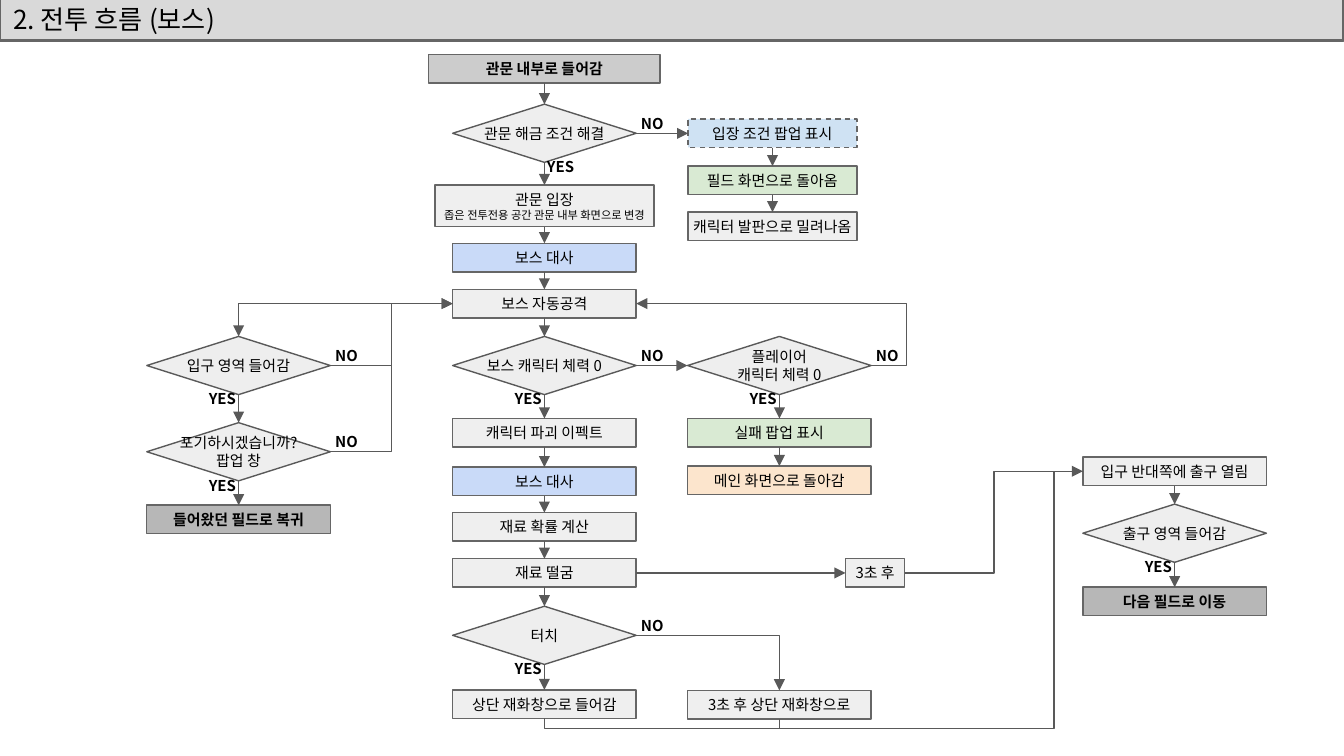
from dataclasses import dataclass
from itertools import pairwise

import lxml.etree
import pptx
import pptx.dml.color
import pptx.enum.dml
import pptx.enum.shapes
import pptx.enum.text
import pptx.oxml.ns
import pptx.slide
import pptx.util
from pptx.util import Cm

FONT = "Noto Sans CJK KR"
COLORS = {
    "title": "D9D9D9", "start": "CCCCCC", "end": "B7B7B7",
    "step": "EFEFEF", "decision": "EEEEEE", "speech": "C9DAF8",
    "popup": "CFE2F3", "success": "D9EAD3", "main": "FCE5CD",
    "border": "666666", "line": "595959", "text": "000000",
}
SHAPES = pptx.enum.shapes.MSO_SHAPE
Point = tuple[float, float]

# Column centres and standard sizes, in centimetres
LEFT, CENTER, POPUP, PLAYER, EXIT = 4.51, 10.29, 14.6, 14.73, 22.2
NODE_WIDTH, BOX_HEIGHT, DIAMOND_HEIGHT = 3.47, 0.54, 1.1
POPUP_WIDTH = 3.19
LABEL_WIDTH, LABEL_HEIGHT = 0.61, 0.43


@dataclass
class Node:
    text: str
    x: float
    y: float
    kind: str = "step"
    width: float = NODE_WIDTH
    height: float = BOX_HEIGHT

    def side(self, horizontal: int, vertical: int) -> Point:
        """Edge midpoint; -1 is left or top, 1 is right or bottom."""
        return self.x + horizontal * self.width / 2, self.y + vertical * self.height / 2


@dataclass
class Link:
    start: Point
    end: Point
    preset: str = "line"
    adjustments: tuple[float, ...] = ()
    arrow: bool = True


def decision(text: str, x: float, y: float) -> Node:
    return Node(text, x, y, "decision", height=DIAMOND_HEIGHT)


NODES = {
    # Main flow
    "start": Node("관문 내부로 들어감", CENTER, 1.3, "start", 4.37),
    "unlock": decision("관문 해금 조건 해결", CENTER, 2.52),
    "enter": Node("관문 입장\n좁은 전투전용 공간 관문 내부 화면으로 변경", CENTER, 3.89, "step", 4.14, 0.79),
    "opening": Node("보스 대사", CENTER, 4.87, "speech"),
    "attack": Node("보스 자동공격", CENTER, 5.74),
    "boss": decision("보스 캐릭터 체력 0", CENTER, 6.91),
    "destroy": Node("캐릭터 파괴 이펙트", CENTER, 8.18),
    "closing": Node("보스 대사", CENTER, 9.1, "speech"),
    "chance": Node("재료 확률 계산", CENTER, 9.96),
    "drop": Node("재료 떨굼", CENTER, 10.83),
    "touch": decision("터치", CENTER, 12.01),
    "collect": Node("상단 재화창으로 들어감", CENTER, 13.31),
    # Entry refused
    "condition": Node("입장 조건 팝업 표시", POPUP, 2.52, "popup", POPUP_WIDTH),
    "field": Node("필드 화면으로 돌아옴", POPUP, 3.41, "success", POPUP_WIDTH),
    "pushed": Node("캐릭터 발판으로 밀려나옴", POPUP, 4.28, "step", POPUP_WIDTH),
    # Player defeat and delayed collection
    "player": decision("플레이어\n캐릭터 체력 0", PLAYER, 6.91),
    "fail": Node("실패 팝업 표시", PLAYER, 8.18, "success"),
    "main": Node("메인 화면으로 돌아감", PLAYER, 9.08, "main"),
    "later": Node("3초 후 상단 재화창으로", PLAYER, 13.32),
    "delay": Node("3초 후", 16.54, 10.83, "step", 1.12),
    # Retreat through the entrance
    "entrance": decision("입구 영역 들어감", LEFT, 6.91),
    "give_up": decision("포기하시겠습니까?\n팝업 창", LEFT, 8.54),
    "return": Node("들어왔던 필드로 복귀", LEFT, 9.82, "end"),
    # Exit
    "open": Node("입구 반대쪽에 출구 열림", EXIT, 8.91),
    "leave": decision("출구 영역 들어감", EXIT, 10.08),
    "next": Node("다음 필드로 이동", EXIT, 11.37, "end"),
}
CHAINS = (
    ("start", "unlock", "enter", "opening", "attack", "boss", "destroy",
     "closing", "chance", "drop", "touch", "collect"),
    ("condition", "field", "pushed"),
    ("player", "fail", "main"),
    ("entrance", "give_up", "return"),
    ("open", "leave", "next"),
)
ROWS = (("unlock", "condition"), ("boss", "player"), ("drop", "delay"))


def color(name: str) -> pptx.dml.color.RGBColor:
    return pptx.dml.color.RGBColor.from_string(COLORS[name])


def add_child(parent, tag: str, **attributes: str):
    return lxml.etree.SubElement(parent, pptx.oxml.ns.qn(tag), attributes)


def write_text(shape, text: str, size: float = 8, bold: bool = False, centered: bool = True) -> None:
    frame = shape.text_frame
    frame.text = text
    frame.word_wrap = True
    frame.vertical_anchor = pptx.enum.text.MSO_ANCHOR.MIDDLE
    frame.margin_left = frame.margin_right = Cm(0 if centered else 0.25)
    frame.margin_top = frame.margin_bottom = 0
    alignment = pptx.enum.text.PP_ALIGN
    for paragraph in frame.paragraphs:
        paragraph.alignment = alignment.CENTER if centered else alignment.LEFT
        for run in paragraph.runs:
            run.font.name = FONT
            run.font.size = pptx.util.Pt(size)
            run.font.bold = bold
            run.font.color.rgb = color("text")
            add_child(run.font._element, "a:ea", typeface=FONT)


def add_filled(slide: pptx.slide.Slide, preset, box: tuple, fill: str, line: str, weight: float = 0.75):
    shape = slide.shapes.add_shape(preset, *map(Cm, box))
    shape.shadow.inherit = False
    shape.fill.solid()
    shape.fill.fore_color.rgb = color(fill)
    shape.line.color.rgb = color(line)
    shape.line.width = pptx.util.Pt(weight)
    return shape


def add_text(slide: pptx.slide.Slide, text: str, x: float, y: float,
             width: float, height: float, bold: bool = False) -> None:
    box = slide.shapes.add_textbox(Cm(x - width / 2), Cm(y - height / 2), Cm(width), Cm(height))
    write_text(box, text, bold=bold)


def add_node(slide: pptx.slide.Slide, node: Node) -> None:
    box = (node.x - node.width / 2, node.y - node.height / 2, node.width, node.height)
    if node.kind == "decision":
        add_filled(slide, SHAPES.DIAMOND, box, "decision", "line")
        add_text(slide, node.text, node.x, node.y, 3.18, 0.86)
        return
    shape = add_filled(slide, SHAPES.RECTANGLE, box, node.kind, "border")
    write_text(shape, node.text, bold=node.kind in ("start", "end"))
    if node.kind == "popup":
        shape.line.dash_style = pptx.enum.dml.MSO_LINE.DASH
    for paragraph in shape.text_frame.paragraphs[1:]:
        paragraph.runs[0].font.size = pptx.util.Pt(6)


def add_link(slide: pptx.slide.Slide, link: Link) -> None:
    connector = slide.shapes.add_connector(
        pptx.enum.shapes.MSO_CONNECTOR.STRAIGHT, *map(Cm, link.start + link.end))
    connector.line.color.rgb = color("line")
    connector.line.width = pptx.util.Pt(0.75)
    properties = connector._element.spPr
    geometry = properties.find(pptx.oxml.ns.qn("a:prstGeom"))
    geometry.set("prst", link.preset)
    guides = geometry.find(pptx.oxml.ns.qn("a:avLst"))
    for number, value in enumerate(link.adjustments, 1):
        add_child(guides, "a:gd", name=f"adj{number}", fmla=f"val {round(value * 100000)}")
    if link.arrow:
        add_child(connector.line._get_or_add_ln(), "a:tailEnd", type="triangle")
    add_child(properties, "a:effectLst")


def make_links() -> list[Link]:
    links = [Link(NODES[a].side(0, 1), NODES[b].side(0, -1)) for chain in CHAINS for a, b in pairwise(chain)]
    links += [Link(NODES[a].side(1, 0), NODES[b].side(-1, 0)) for a, b in ROWS]
    attack, opened = NODES["attack"], NODES["open"].side(-1, 0)
    # Corner turns
    links.append(Link(attack.side(-1, 0), NODES["entrance"].side(0, -1), "bentConnector2"))
    links.append(Link(NODES["touch"].side(1, 0), NODES["later"].side(0, -1), "bentConnector2"))
    # Loops back to the attack, and the delayed exit
    for name in ("entrance", "give_up"):
        links.append(Link(NODES[name].side(1, 0), attack.side(-1, 0), "bentConnector3", (0.5,)))
    links.append(Link(NODES["player"].side(1, 0), attack.side(1, 0), "bentConnector3", (-0.15,)))
    links.append(Link(NODES["delay"].side(1, 0), opened, "bentConnector3", (0.5,)))
    # Both collection steps share a rail below the boxes
    rail_x, rail_y = 19.92, 13.77
    for name in ("collect", "later"):
        end = NODES[name].side(0, 1)
        turns = ((rail_x - opened[0]) / (end[0] - opened[0]), (rail_y - opened[1]) / (end[1] - opened[1]))
        links.append(Link(opened, end, "bentConnector4", turns, arrow=False))
    return links


def add_answers(slide: pptx.slide.Slide) -> None:
    for name, node in NODES.items():
        if node.kind != "decision":
            continue
        direction = 1 if name == "unlock" else -1
        x, bottom = node.side(0, 1)
        add_text(slide, "YES", x + direction * LABEL_WIDTH / 2, bottom + 0.08, LABEL_WIDTH, LABEL_HEIGHT, True)
        if name != "leave":
            right, y = node.side(1, 0)
            add_text(slide, "NO", right + LABEL_WIDTH / 2, y - 0.19, LABEL_WIDTH, LABEL_HEIGHT, True)


def main() -> None:
    presentation = pptx.Presentation()
    presentation.slide_width, presentation.slide_height = Cm(25.4), Cm(14.29)
    slide = presentation.slides.add_slide(presentation.slide_layouts[6])
    # Title bar
    title = add_filled(slide, SHAPES.RECTANGLE, (0, -0.03, 25.4, 0.79), "title", "border", 1.5)
    write_text(title, "2. 전투 흐름 (보스)", size=14, centered=False)
    # Flow chart
    for node in NODES.values():
        add_node(slide, node)
    for link in make_links():
        add_link(slide, link)
    add_answers(slide)
    presentation.save("out.pptx")


if __name__ == "__main__":
    main()
